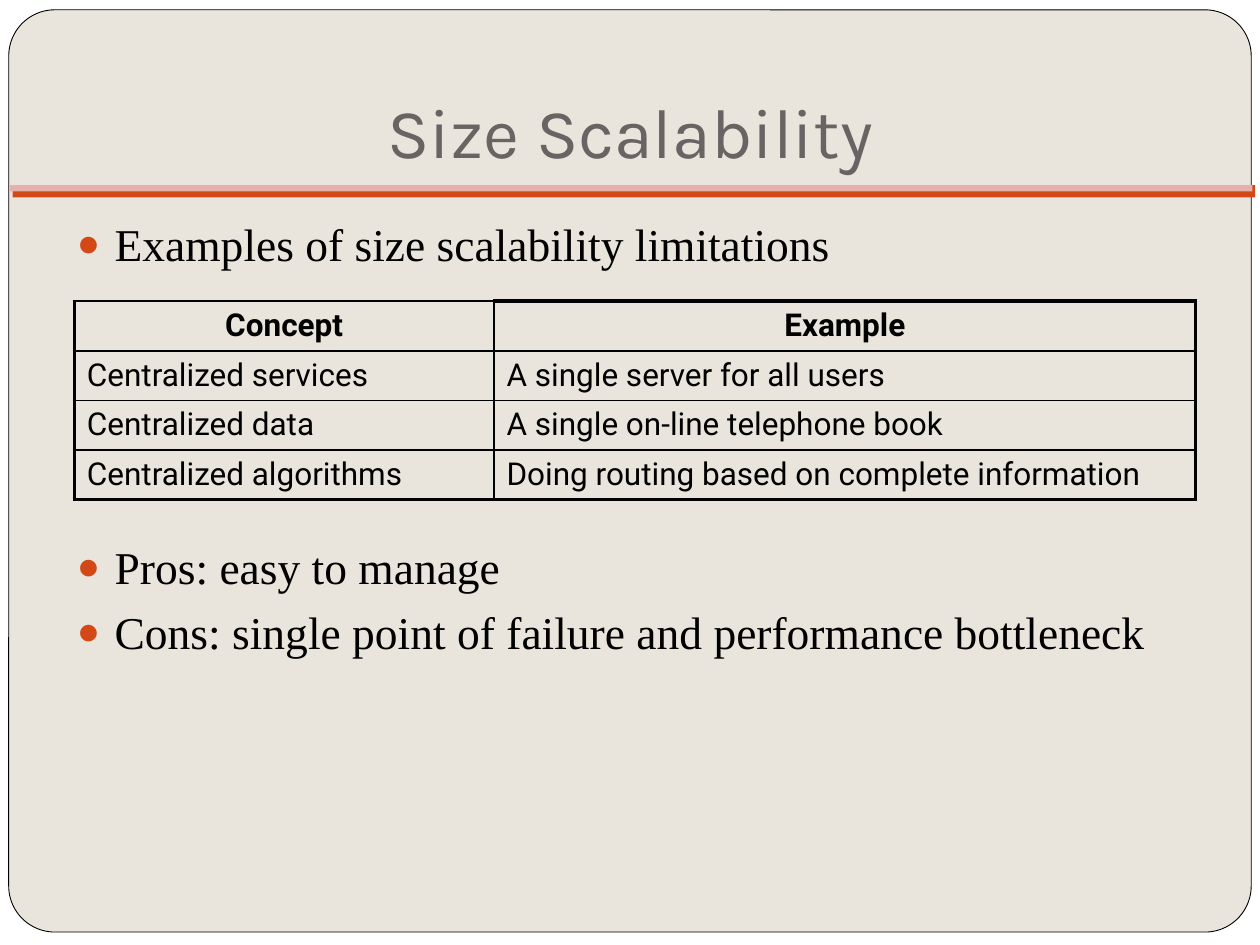
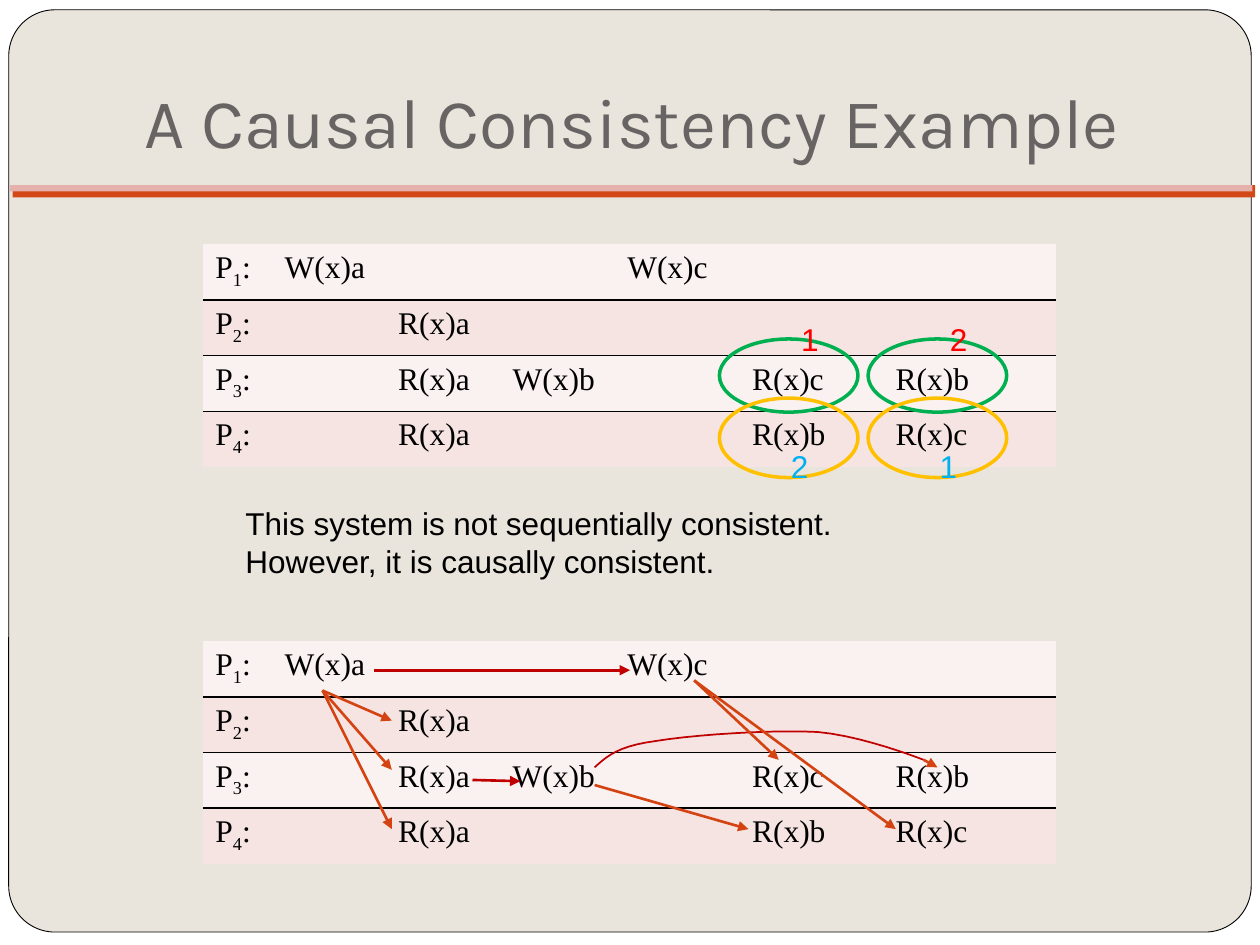
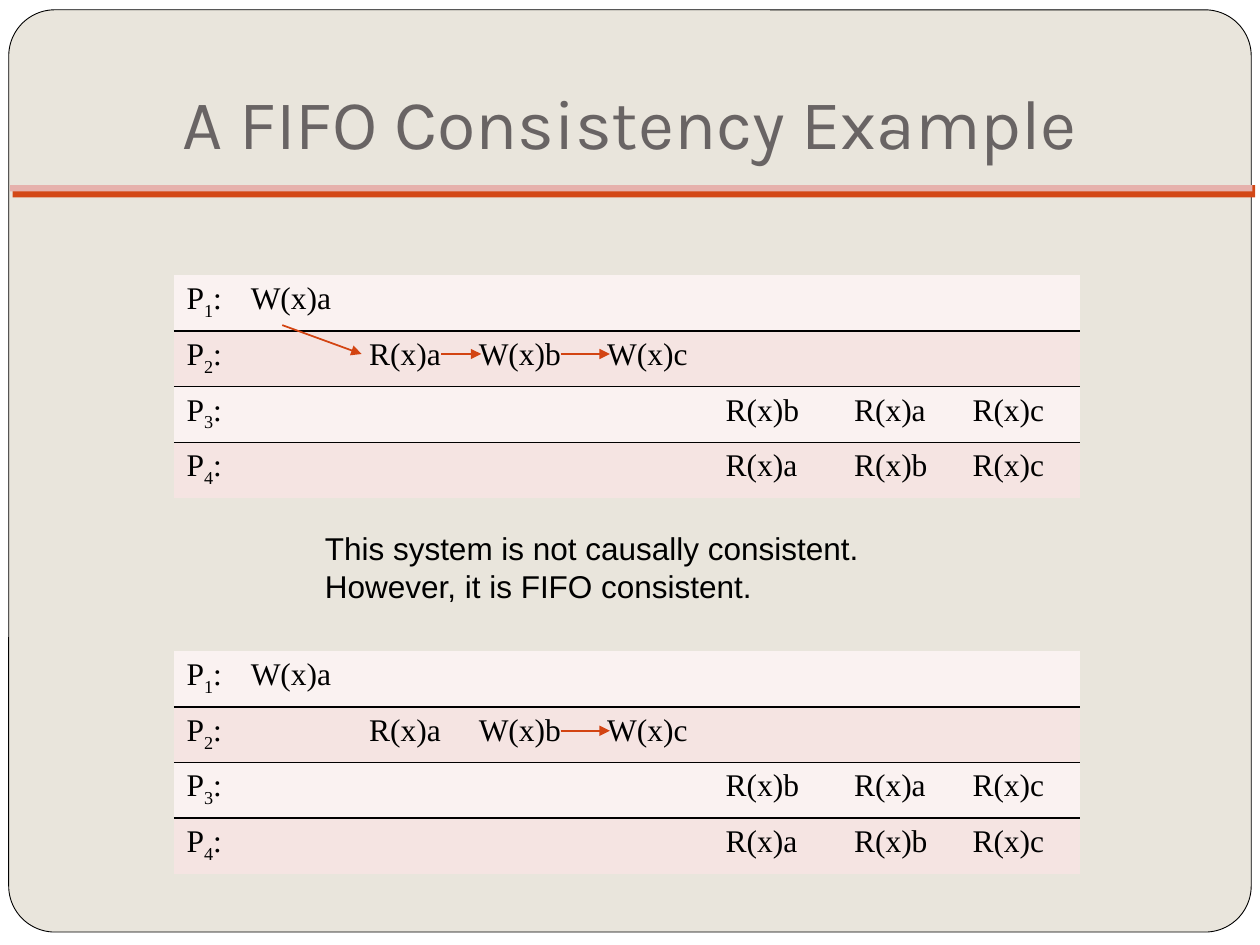
"""Build three slides on scalability and consistency models."""
import lxml.etree
import pptx
import pptx.dml.color
import pptx.enum.shapes
import pptx.enum.text
import pptx.oxml.ns
import pptx.util

TONES = {
    "sand": "E9E5DC", "white": "FFFFFF", "black": "000000", "rust": "D34817",
    "rose": "E6B1AC", "gray": "696464", "pale": "FAF2F1", "pink": "F5E4E2",
    "green": "00B050", "gold": "FFC000", "red": "FF0000", "sky": "00B0F0",
    "wine": "C00000", "clay": "D34412",
}
RGB = {name: pptx.dml.color.RGBColor.from_string(tone) for name, tone in TONES.items()}
SERIF = "Times New Roman"
qn = pptx.oxml.ns.qn


def ink(frame, face, size, tone="black", bold=False):
    for para in frame.paragraphs:
        for run in para.runs:
            run.font.name = face
            run.font.size = pptx.util.Pt(size)
            run.font.bold = bold
            run.font.color.rgb = RGB[tone]


def edge(cell, sides):
    props = cell._tc.get_or_add_tcPr()
    for side, width in zip("LRTB", sides):
        line = lxml.etree.SubElement(props, qn(f"a:ln{side}"), w=str(pptx.util.Pt(width)))
        if width:
            fill = lxml.etree.SubElement(line, qn("a:solidFill"))
            lxml.etree.SubElement(fill, qn("a:srgbClr"), val=TONES["black"])
        else:
            lxml.etree.SubElement(line, qn("a:noFill"))


deck = pptx.Presentation()
deck.slide_width = pptx.util.Pt(720)
deck.slide_height = pptx.util.Pt(540)
master = deck.slide_master
master.background.fill.solid()
master.background.fill.fore_color.rgb = RGB["sand"]

heads = [
    ("Size Scalability", 1, (54, 31.7, 612, 74.2)),
    ("A Causal Consistency Example ", 5, (59.8, 31.7, 612, 68.4)),
    ("A FIFO Consistency Example", 5, (54, 20.9, 612, 79.9)),
]
slides = []
for text, layout, box in heads:
    slide = deck.slides.add_slide(deck.slide_layouts[layout])
    title = slide.shapes.title
    title.left, title.top, title.width, title.height = map(pptx.util.Pt, box)
    frame = title.text_frame
    frame.text = text
    frame.auto_size = pptx.enum.text.MSO_AUTO_SIZE.NONE
    frame.vertical_anchor = pptx.enum.text.MSO_ANCHOR.BOTTOM
    frame.margin_bottom = pptx.util.Pt(7.2)
    frame.paragraphs[0].alignment = pptx.enum.text.PP_ALIGN.CENTER
    ink(frame, "Karla", 40, "gray")
    slides.append(slide)

kinds = pptx.enum.shapes.MSO_SHAPE
bands = [
    (kinds.RECTANGLE, (0, 0, 720, 540), "white"),
    (kinds.ROUNDED_RECTANGLE, (5, 5.6, 710, 527), "sand"),
    (kinds.RECTANGLE, (7.2, 105.8, 710, 7), "rust"),
    (kinds.RECTANGLE, (5.6, 105.8, 710, 3.6), "rose"),
]
for rank, (kind, box, tone) in enumerate(bands):
    band = slides[0].shapes.add_shape(kind, *map(pptx.util.Pt, box))
    band.shadow.inherit = False
    band.fill.solid()
    band.fill.fore_color.rgb = RGB[tone]
    band.line.fill.background()
    if kind == kinds.ROUNDED_RECTANGLE:
        band.adjustments[0] = 0.05
        band.line.color.rgb = RGB["black"]
        band.line.width = pptx.util.Pt(0.5)
    band.element.nvSpPr.cNvPr.set("id", str(20 + rank))
    master.shapes.element.insert(2 + rank, band.element)

body = slides[0].placeholders[1]
body.left, body.top, body.width, body.height = map(pptx.util.Pt, (36.7, 120, 647.3, 269.3))
frame = body.text_frame
frame.auto_size = pptx.enum.text.MSO_AUTO_SIZE.NONE
frame.text = (
    "Examples of size scalability limitations\nPros: easy to manage\n"
    "Cons: single point of failure and performance bottleneck"
)
for para, gap in zip(frame.paragraphs, (0, 153.3, 5.8)):
    props = para._p.get_or_add_pPr()
    props.set("marL", str(pptx.util.Pt(21.6)))
    props.set("indent", str(pptx.util.Pt(-21.6)))
    color = lxml.etree.SubElement(props, qn("a:buClr"))
    lxml.etree.SubElement(color, qn("a:srgbClr"), val=TONES["rust"])
    lxml.etree.SubElement(props, qn("a:buSzPct"), val="85000")
    lxml.etree.SubElement(props, qn("a:buChar"), char="●")
    para.space_before = pptx.util.Pt(gap)
ink(frame, SERIF, 26)

limits = [
    ("Concept", "Example"),
    ("Centralized services", "A single server for all users"),
    ("Centralized data", "A single on-line telephone book"),
    ("Centralized algorithms", "Doing routing based on complete information"),
]
table = slides[0].shapes.add_table(4, 2, *map(pptx.util.Pt, (42.5, 172.1, 640.8, 113.2))).table
table.first_row = table.horz_banding = False
table.columns[0].width = pptx.util.Pt(239.8)
table.columns[1].width = pptx.util.Pt(401)
for row, texts in enumerate(limits):
    for col, text in enumerate(texts):
        cell = table.cell(row, col)
        thick = (col == 0, col == 1, row == 0 and col == 1, row == 3)
        edge(cell, [2.25 if flag else 1 for flag in thick])
        cell.fill.background()
        cell.vertical_anchor = pptx.enum.text.MSO_ANCHOR.MIDDLE
        cell.text_frame.text = text
        if row == 0:
            cell.text_frame.paragraphs[0].alignment = pptx.enum.text.PP_ALIGN.CENTER
        ink(cell.text_frame, "Roboto", 18, bold=row == 0)

causal = [
    {1: "W(x)a", 4: "W(x)c"},
    {2: "R(x)a"},
    {2: "R(x)a", 3: "W(x)b", 5: "R(x)c", 6: "R(x)b"},
    {2: "R(x)a", 5: "R(x)b", 6: "R(x)c"},
]
fifo = [
    {1: "W(x)a"},
    {2: "R(x)a", 3: "W(x)b", 4: "W(x)c"},
    {5: "R(x)b", 6: "R(x)a", 7: "R(x)c"},
    {5: "R(x)a", 6: "R(x)b", 7: "R(x)c"},
]
wide = (39.6, 64.8, 65.5, 65.5, 71.3, 82.1, 98.6)
slim = (36.7, 67.7, 62.6, 73.4, 67.7, 73.4, 67.7, 68.9)
grids = [
    (slides[1], causal, wide, 115.9, 139.7), (slides[1], causal, wide, 115.9, 366.5),
    (slides[2], fifo, slim, 99.4, 157.4), (slides[2], fifo, slim, 99.4, 372.2),
]
for slide, events, widths, left, top in grids:
    box = (left, top, sum(widths), 127.2)
    table = slide.shapes.add_table(4, len(widths), *map(pptx.util.Pt, box)).table
    table.first_row = table.horz_banding = False
    for col, width in enumerate(widths):
        table.columns[col].width = pptx.util.Pt(width)
    for row, marks in enumerate(events):
        for col in range(len(widths)):
            cell = table.cell(row, col)
            edge(cell, (0, 0, int(row > 0), int(row < 3)))
            cell.fill.solid()
            cell.fill.fore_color.rgb = RGB["pink" if row % 2 else "pale"]
            cell.text_frame.text = marks.get(col, "")
            if col == 0:
                para = cell.text_frame.paragraphs[0]
                for part in ("P", str(row + 1), ":"):
                    para.add_run().text = part
                para.runs[1]._r.get_or_add_rPr().set("baseline", "-25000")
            ink(cell.text_frame, SERIF, 18)

notes = [
    (slides[1], (133.2, 284.4, 465, 51), "black",
     "This system is not sequentially consistent.\nHowever, it is causally consistent."),
    (slides[2], (178.6, 298.8, 357, 51), "black",
     "This system is not causally consistent.\nHowever, it is FIFO consistent."),
]
drawn = []
for left, first, last in ((411.1, "1", "2"), (496.1, "2", "1")):
    for top, high, tone in ((193.7, 41.8, "green"), (227.5, 45.4, "gold")):
        box = (left, top, 79.2, high)
        ring = slides[1].shapes.add_shape(kinds.OVAL, *map(pptx.util.Pt, box))
        drawn.append((ring, tone, 2))
    notes.append((slides[1], (left + 39.6, 179.3, 17.3, 28.8), "red", first))
    notes.append((slides[1], (left + 33.8, 252, 17.3, 28.8), "sky", last))
for slide, box, tone, text in notes:
    frame = slide.shapes.add_textbox(*map(pptx.util.Pt, box)).text_frame
    frame.word_wrap = True
    frame.text = text
    ink(frame, "Arial", 18, tone)

bend = [
    (339.8, 438.5), (347, 432), (353.5, 426.2), (375.1, 423.4), (396.7, 419.8),
    (442.1, 416.9), (467.3, 418.3), (493.2, 420.5), (527.8, 434.2), (527.8, 434.2),
]
dots = []
for start in (0, 3, 6):
    for step in range(1, 11):
        t = step / 10
        mix = ((1 - t) ** 3, 3 * t * (1 - t) ** 2, 3 * t * t * (1 - t), t ** 3)
        knots = bend[start:start + 4]
        dots.append([pptx.util.Pt(sum(m * k[axis] for m, k in zip(mix, knots))) for axis in (0, 1)])
pen = slides[1].shapes.build_freeform(*map(pptx.util.Pt, bend[0]))
pen.add_line_segments(dots, close=False)
drawn.append((pen.convert_to_shape(), "wine", 1))
for shape, tone, width in drawn:
    shape.shadow.inherit = False
    shape.fill.background()
    shape.line.color.rgb = RGB[tone]
    shape.line.width = pptx.util.Pt(width)

arrows = [
    (slides[1], "wine", 1.5, (213.8, 383), [(360, 383)]),
    (slides[1], "clay", 1.5, (184.3, 394.6), [(223.9, 411.8), (223.9, 439.9), (223.9, 473.8)]),
    (slides[1], "wine", 1.5, (270, 445.7), [(297.4, 446.4)]),
    (slides[1], "clay", 1.5, (339.8, 448.6), [(427.7, 473.8)]),
    (slides[1], "clay", 1.5, (396.7, 388.8), [(445, 434.2), (511.9, 473.8)]),
    (slides[1], "clay", 1.5, (527.8, 434.2), [(535.7, 438.5)]),
    (slides[2], "clay", 1, (161.3, 185.8), [(206.6, 202.3)]),
    (slides[2], "clay", 1, (252, 202.3), [(275, 202.3)]),
    (slides[2], "clay", 1, (320.4, 202.3), [(348.5, 202.3)]),
    (slides[2], "clay", 1, (320.4, 417.6), [(348.5, 417.6)]),
]
for slide, tone, width, start, ends in arrows:
    for end in ends:
        arrow = slide.shapes.add_connector(
            pptx.enum.shapes.MSO_CONNECTOR.STRAIGHT, *map(pptx.util.Pt, start + end))
        arrow.line.color.rgb = RGB[tone]
        arrow.line.width = pptx.util.Pt(width)
        props = arrow.element.spPr
        lxml.etree.SubElement(props.find(qn("a:ln")), qn("a:tailEnd"), type="triangle")
        lxml.etree.SubElement(props, qn("a:effectLst"))

deck.save("out.pptx")
